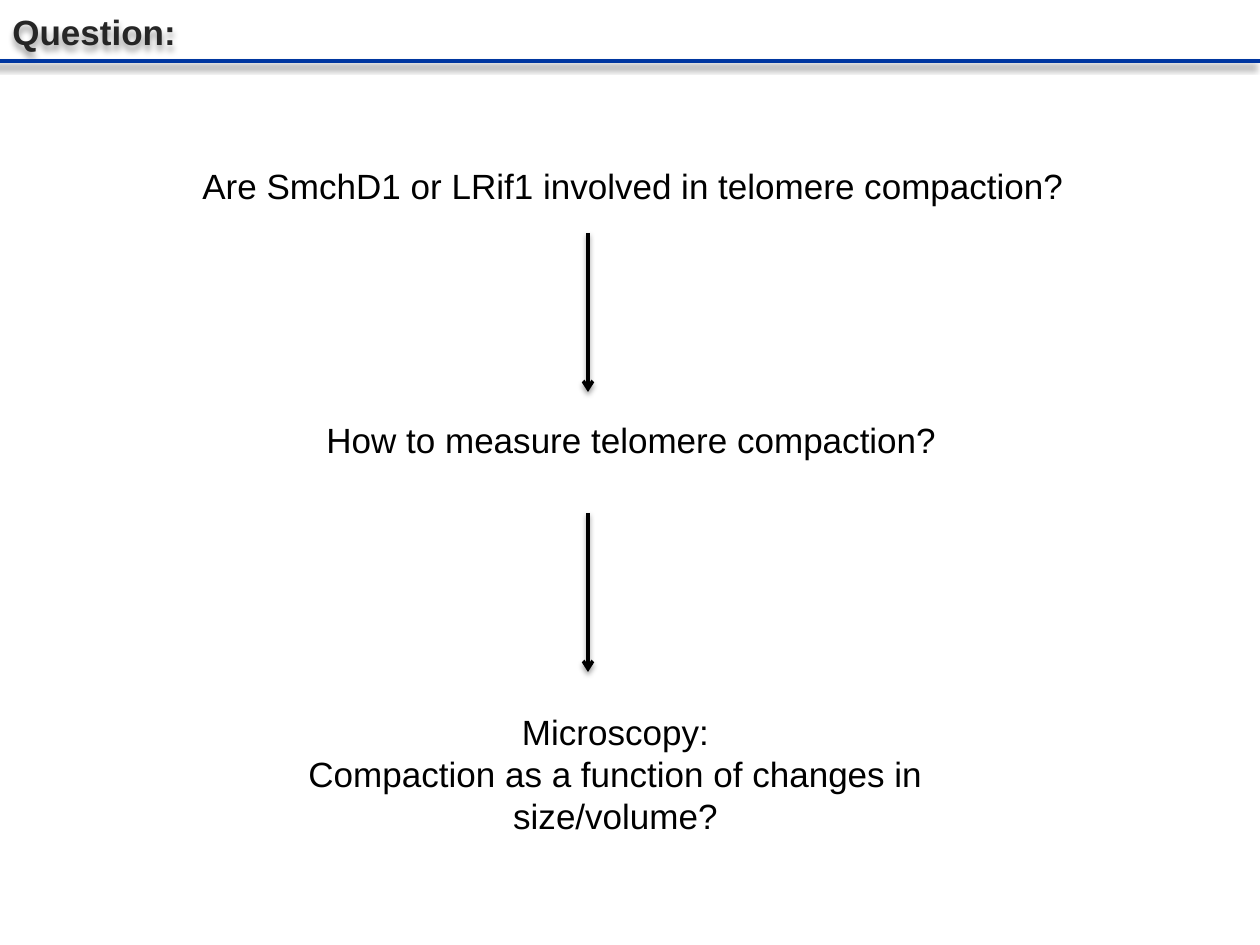
from lxml import etree
from pptx import Presentation
from pptx.dml.color import RGBColor
from pptx.enum.shapes import MSO_CONNECTOR
from pptx.enum.text import MSO_AUTO_SIZE, PP_ALIGN
from pptx.oxml.ns import qn
from pptx.util import Emu, Pt

STRAIGHT = MSO_CONNECTOR.STRAIGHT
GROW = MSO_AUTO_SIZE.SHAPE_TO_FIT_TEXT
LEFT, CENTER = PP_ALIGN.LEFT, PP_ALIGN.CENTER

BLACK = RGBColor(0x00, 0x00, 0x00)
CHARCOAL = RGBColor(0x26, 0x26, 0x26)
BLUE = RGBColor(0x00, 0x36, 0xA0)

FONT = "Arial"
WIDTH, HEIGHT = 1260, 945
ARROW_X, ARROW_LENGTH = 588, 159


def px(value):
    return Emu(round(value * 914400 / 126))


def add_shadow(shape, opacity, blur, distance, angle):
    effects = etree.SubElement(shape._element.spPr, qn("a:effectLst"))
    shadow = etree.SubElement(
        effects, qn("a:outerShdw"), blurRad=str(Pt(blur)), dist=str(Pt(distance)),
        dir=str(angle * 60000), algn="tl", rotWithShape="0")
    color = etree.SubElement(shadow, qn("a:srgbClr"), val=str(BLACK))
    etree.SubElement(color, qn("a:alpha"), val=str(opacity * 1000))


def add_text(slide, left, top, width, height, lines,
             color=BLACK, bold=False, align=LEFT, wrap=True):
    box = slide.shapes.add_textbox(px(left), px(top), px(width), px(height))
    frame = box.text_frame
    frame.word_wrap = wrap
    frame.auto_size = GROW
    for index, line in enumerate(lines):
        paragraph = frame.add_paragraph() if index else frame.paragraphs[0]
        paragraph.alignment = align
        run = paragraph.add_run()
        run.text = line
        run.font.name = FONT
        run.font.size = Pt(20)
        run.font.bold = bold
        run.font.color.rgb = color
    return box


def add_line(slide, start, end, color):
    line = slide.shapes.add_connector(
        STRAIGHT, px(start[0]), px(start[1]), px(end[0]), px(end[1]))
    line.line.color.rgb = color
    line.line.width = Pt(2)
    return line


def add_down_arrow(slide, top):
    arrow = add_line(slide, (ARROW_X, top), (ARROW_X, top + ARROW_LENGTH), BLACK)
    etree.SubElement(arrow.line._get_or_add_ln(), qn("a:tailEnd"), type="arrow")
    add_shadow(arrow, opacity=38, blur=3.1, distance=1.6, angle=90)


def main():
    presentation = Presentation()
    presentation.slide_width = px(WIDTH)
    presentation.slide_height = px(HEIGHT)
    slide = presentation.slides.add_slide(presentation.slide_layouts[6])

    title = add_text(slide, 0, 4, 190, 55, ["Question:"],
                     color=CHARCOAL, bold=True, wrap=False)
    add_shadow(title, opacity=40, blur=4, distance=3, angle=90)
    rule = add_line(slide, (0, 61), (WIDTH, 61), BLUE)
    add_shadow(rule, opacity=40, blur=4, distance=4, angle=135)

    add_text(slide, 190, 158, 945, 55,
             ["Are SmchD1 or LRif1 involved in telomere compaction?"])
    add_down_arrow(slide, 233)
    add_text(slide, 314, 412, 945, 55, ["How to measure telomere compaction?"])
    add_down_arrow(slide, 513)
    add_text(slide, 190, 704, 851, 139,
             ["Microscopy:", "Compaction as a function of changes in size/volume?"],
             align=CENTER)

    presentation.save("out.pptx")


if __name__ == "__main__":
    main()
